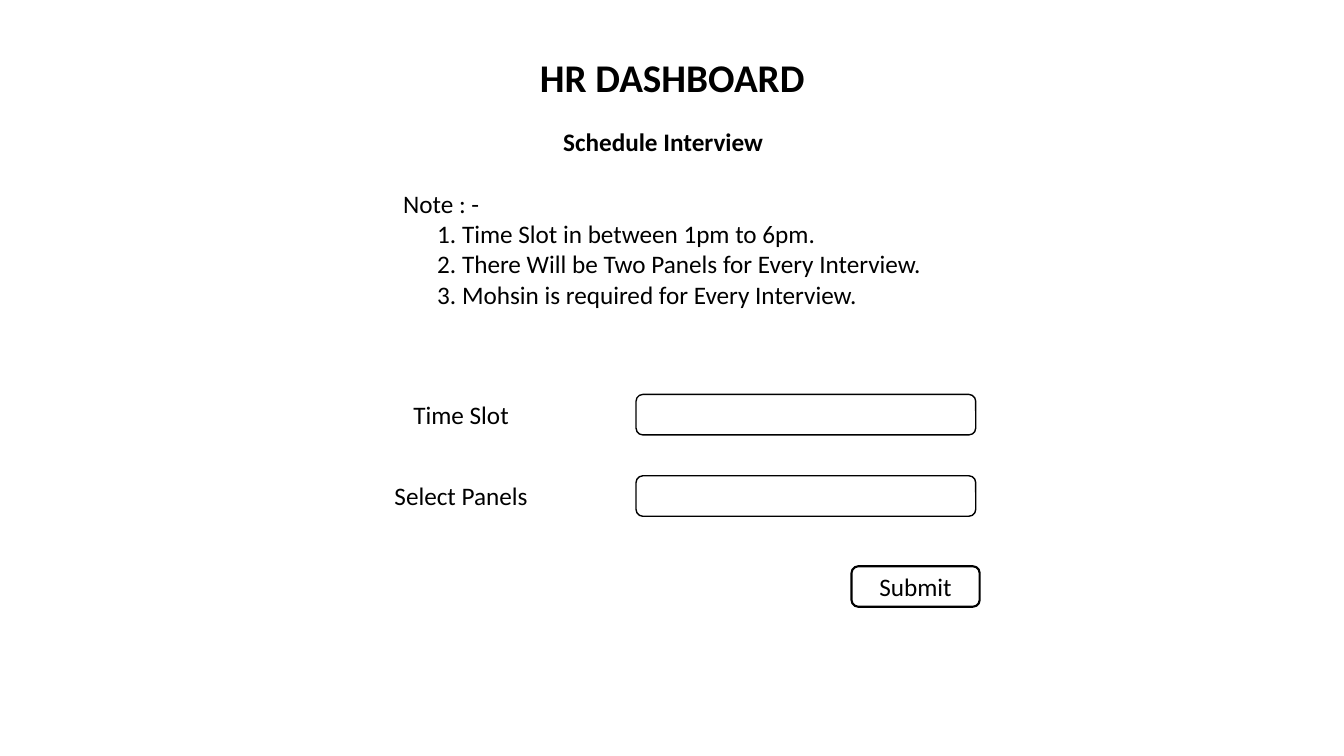
from pptx import Presentation
from pptx.dml.color import RGBColor
from pptx.enum.shapes import MSO_SHAPE as Shape
from pptx.enum.text import MSO_ANCHOR as Anchor, PP_ALIGN as Align
from pptx.util import Cm, Pt

TITLE = "HR DASHBOARD"
SUBTITLE = "Schedule Interview"
NOTE_HEADING = "Note : -"
NOTES = [
    "Time Slot in between 1pm to 6pm.",
    "There Will be Two Panels for Every Interview.",
    "Mohsin is required for Every Interview.",
]
FIELDS = ["Time Slot", "Select Panels"]
BUTTON = "Submit"

INK = RGBColor(0, 0, 0)
THEME = {
    "paper": RGBColor(255, 255, 255),
    "ink": INK,
    "title": {"name": "Calibri", "size": Pt(28), "bold": True},
    "subtitle": {"name": "Calibri", "size": Pt(18), "bold": True},
    "body": {"name": "Calibri", "size": Pt(18), "bold": False},
}

ROW_TOP, ROW_PITCH, ROW_HEIGHT = 9.94, 2.05, 1.02
LABEL_LEFT, LABEL_WIDTH = 7.67, 7.9
FIELD_LEFT, FIELD_WIDTH = 16.03, 8.56
NOTE_INDENT = 0.86


def write(frame, lines, style, align=Align.CENTER):
    frame.word_wrap = True
    for index, line in enumerate(lines):
        paragraph = frame.paragraphs[0] if index == 0 else frame.add_paragraph()
        paragraph.alignment = align
        run = paragraph.add_run()
        run.text = line
        for attribute, value in THEME[style].items():
            setattr(run.font, attribute, value)
        run.font.color.rgb = THEME["ink"]


def add_text(slide, place, lines, style, align=Align.CENTER):
    frame = slide.shapes.add_textbox(*map(Cm, place)).text_frame
    write(frame, lines, style, align)
    return frame


def add_rounded(slide, place, line_width):
    rounded = slide.shapes.add_shape(Shape.ROUNDED_RECTANGLE, *map(Cm, place))
    rounded.shadow.inherit = False
    rounded.fill.solid()
    rounded.fill.fore_color.rgb = THEME["paper"]
    rounded.line.color.rgb = THEME["ink"]
    rounded.line.width = Pt(line_width)
    return rounded


def add_notes(slide):
    numbered = [f"{number}. {note}" for number, note in enumerate(NOTES, 1)]
    frame = add_text(slide, (9.91, 4.62, 14.17, 3.33),
                     [NOTE_HEADING, *numbered], "body", Align.LEFT)
    for paragraph in frame.paragraphs[1:]:
        paragraph._p.get_or_add_pPr().set("marL", str(Cm(NOTE_INDENT)))


def main():
    deck = Presentation()
    deck.slide_width, deck.slide_height = Cm(33.87), Cm(19.05)
    slide = deck.slides.add_slide(deck.slide_layouts[6])

    add_text(slide, (8.47, 1.22, 16.94, 1.45), [TITLE], "title")
    add_text(slide, (12.32, 3.05, 8.79, ROW_HEIGHT), [SUBTITLE], "subtitle")
    add_notes(slide)

    for row, label in enumerate(FIELDS):
        top = ROW_TOP + row * ROW_PITCH
        add_text(slide, (LABEL_LEFT, top, LABEL_WIDTH, ROW_HEIGHT), [label], "body")
        add_rounded(slide, (FIELD_LEFT, top, FIELD_WIDTH, ROW_HEIGHT), 1)

    submit = add_rounded(slide, (21.46, 14.27, 3.23, ROW_HEIGHT), 1.5)
    submit.text_frame.vertical_anchor = Anchor.MIDDLE
    write(submit.text_frame, [BUTTON], "body")

    deck.save("out.pptx")


if __name__ == "__main__":
    main()
